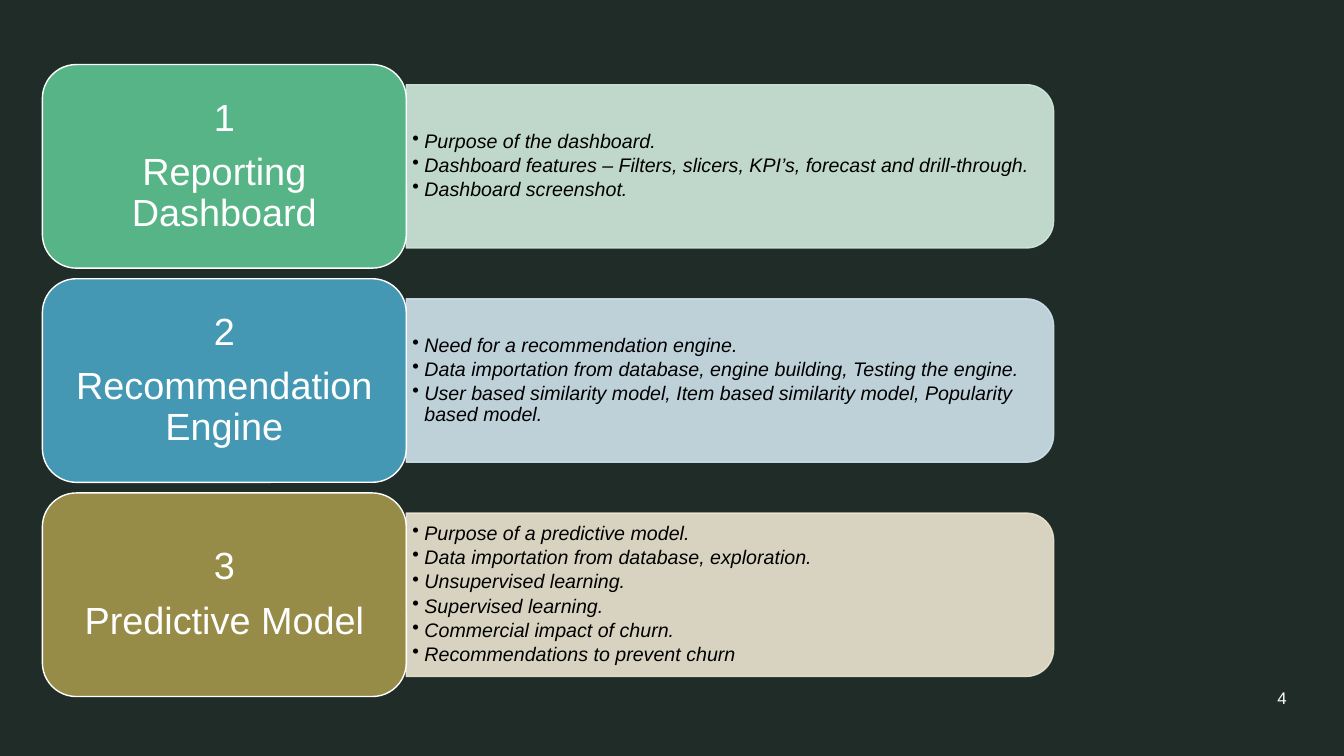
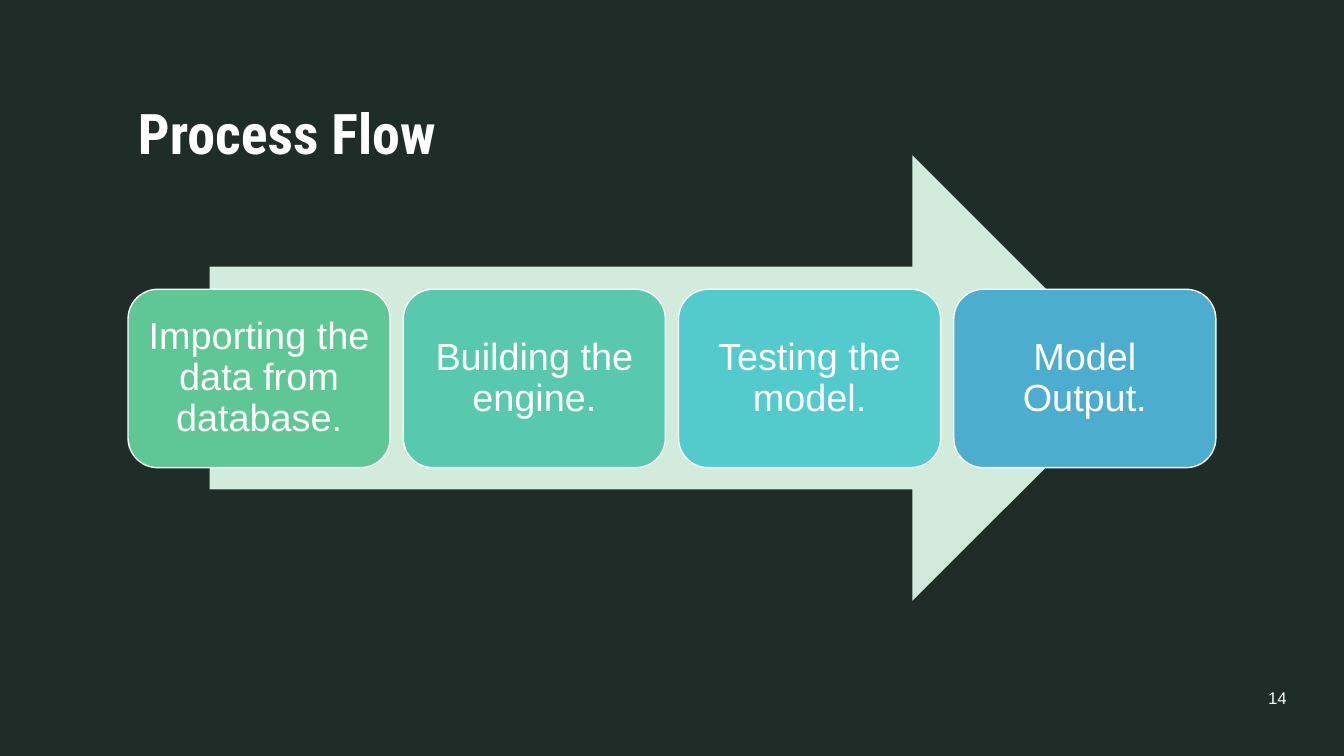
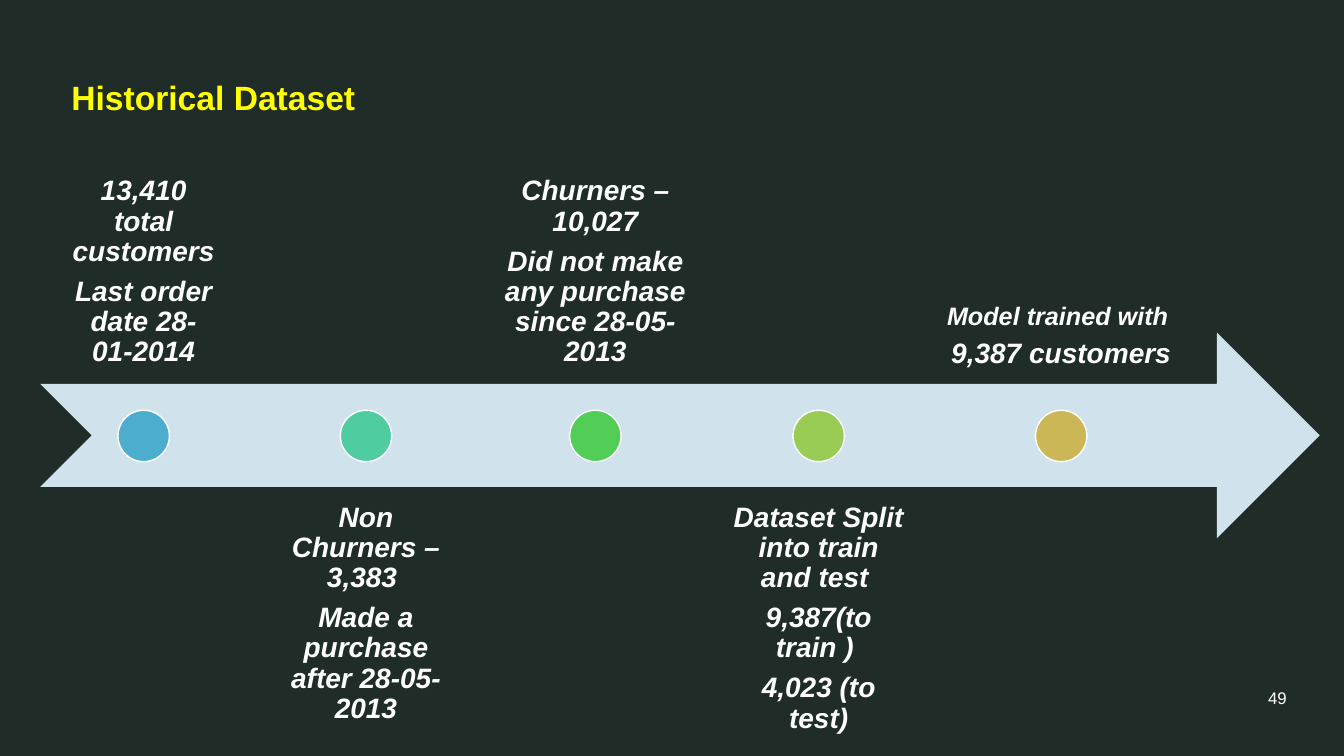
import pptx
import pptx.dml.color
import pptx.enum.shapes
import pptx.enum.text
import pptx.oxml
import pptx.oxml.ns
import pptx.util
from lxml import etree

Inches = pptx.util.Inches
Pt = pptx.util.Pt
Shape = pptx.enum.shapes.MSO_SHAPE
Align = pptx.enum.text.PP_ALIGN
Anchor = pptx.enum.text.MSO_ANCHOR

COLORS = {
    "background": "1F2C28",
    "white": "FFFFFF",
    "black": "000000",
    "yellow": "FFFF00",
    "green": "5EC795",
    "teal": "58C9AF",
    "aqua": "53CACC",
    "blue": "4DADCE",
    "mint": "4FCDA1",
    "grass": "52CD56",
    "lime": "99CC54",
    "gold": "CCB756",
    "pale green": "D2EBDD",
    "pale blue": "D0E3ED",
    "pale gold": "ECE6D1",
}


class Deck:
    def __init__(self):
        self.presentation = pptx.Presentation()
        self.presentation.slide_width = Inches(13.33)
        self.presentation.slide_height = Inches(7.5)
        self.slide = None

    def color(self, name):
        return pptx.dml.color.RGBColor.from_string(COLORS[name])

    def new_slide(self, number):
        self.slide = self.presentation.slides.add_slide(self.presentation.slide_layouts[6])
        background = self.slide.background.fill
        background.solid()
        background.fore_color.rgb = self.color("background")
        self.text((11.94, 6.72, 0.92, 0.4), [number], size=12, align=Align.RIGHT,
                  anchor=Anchor.MIDDLE)

    def shape(self, kind, box, fill, line=None, opacity=100, line_opacity=100, rotation=0):
        shape = self.slide.shapes.add_shape(kind, *map(Inches, box))
        shape.shadow.inherit = False
        shape.rotation = rotation
        shape.fill.solid()
        shape.fill.fore_color.rgb = self.color(fill)
        self.set_opacity(shape.fill, opacity)
        if line:
            shape.line.color.rgb = self.color(line)
            shape.line.width = Pt(1)
            self.set_opacity(shape.line.fill, line_opacity)
        else:
            shape.line.fill.background()
        return shape

    def set_opacity(self, fill, percent):
        if percent < 100:
            color = fill._xPr.find(".//" + pptx.oxml.ns.qn("a:srgbClr"))
            etree.SubElement(color, pptx.oxml.ns.qn("a:alpha"), val=str(percent * 1000))

    def text(self, box, lines, anchor=Anchor.TOP, insets=(0.1, 0.05), **style):
        text_box = self.slide.shapes.add_textbox(*map(Inches, box))
        self.fill_text(text_box, lines, anchor, insets, **style)
        return text_box

    def fill_text(self, shape, lines, anchor, insets, size, align=Align.LEFT, color="white",
                  font="Arial", bold=False, italic=False, spacing=1, after=0, bullet=False):
        """Fill a shape with paragraphs; a line may be a (text, size) pair, after is a share of size."""
        frame = shape.text_frame
        frame.word_wrap = True
        frame.vertical_anchor = anchor
        frame.margin_left = frame.margin_right = Inches(insets[0])
        frame.margin_top = frame.margin_bottom = Inches(insets[1])
        for index, line in enumerate(lines):
            words, points = line if isinstance(line, tuple) else (line, size)
            paragraph = frame.paragraphs[0] if index == 0 else frame.add_paragraph()
            paragraph.text = words
            if bullet:
                properties = paragraph._p.get_or_add_pPr()
                properties.set("marL", str(Inches(0.12)))
                properties.set("indent", str(Inches(-0.12)))
                etree.SubElement(properties, pptx.oxml.ns.qn("a:buChar"), char="•")
            paragraph.alignment = align
            paragraph.line_spacing = spacing
            paragraph.space_after = Pt(round(points * after, 2))
            paragraph.font.name = font
            paragraph.font.size = Pt(points)
            paragraph.font.bold = bold
            paragraph.font.italic = italic
            paragraph.font.color.rgb = self.color(color)

    def title(self, box, words, **style):
        title = self.text(box, [words], bold=True, **style)
        title.text_frame.auto_size = pptx.enum.text.MSO_AUTO_SIZE.SHAPE_TO_FIT_TEXT

    def card(self, box, lines, fill, opacity=100, insets=(0.11, 0.11)):
        card = self.shape(Shape.ROUNDED_RECTANGLE, box, fill, "white", opacity)
        self.fill_text(card, lines, Anchor.MIDDLE, insets, size=27, align=Align.CENTER,
                       spacing=0.9, after=0.35)

    def band(self, left, middle, width, height, lines, fill):
        """Bulleted panel with its right corners rounded: a turned shape under a text box."""
        turned = (left + (width - height) / 2, middle - width / 2, height, width)
        self.shape(Shape.ROUND_2_SAME_RECTANGLE, turned, fill, fill, 90, 90, rotation=90)
        self.text((left, middle - 0.73, width - 0.08, 1.46), lines, Anchor.MIDDLE, (0.06, 0.03),
                  size=14, color="black", italic=True, spacing=0.9, after=0.15, bullet=True)

    def milestone(self, left, width, lines, fill, above):
        """Caption above or below the timeline, with a dot centred on it."""
        inset = 0.14 if isinstance(lines[0], tuple) else 0.16
        self.text((left, 1.77 if above else 4.83, width, 2.04), lines,
                  Anchor.BOTTOM if above else Anchor.TOP, (inset, inset), size=20,
                  align=Align.CENTER, bold=True, italic=True, spacing=0.9, after=0.35)
        dot = 0.51
        self.shape(Shape.OVAL, (left + (width - dot) / 2, 4.07, dot, dot), fill, "white")


def add_agenda(deck):
    deck.new_slide("4")
    topics = [
        ("Reporting Dashboard", "green", 88, "pale green", [
            "Purpose of the dashboard.",
            "Dashboard features – Filters, slicers, KPI’s, forecast and drill-through.",
            "Dashboard screenshot."]),
        ("Recommendation Engine", "blue", 84, "pale blue", [
            "Need for a recommendation engine.",
            "Data importation from database, engine building, Testing the engine.",
            "User based similarity model, Item based similarity model, Popularity based model."]),
        ("Predictive Model", "gold", 69, "pale gold", [
            "Purpose of a predictive model.",
            "Data importation from database, exploration.",
            "Unsupervised learning.",
            "Supervised learning.",
            "Commercial impact of churn.",
            "Recommendations to prevent churn"]),
    ]
    left, width, height = 0.42, 3.61, 2.02
    for index, (name, fill, opacity, pale, points) in enumerate(topics):
        top = 0.64 + index * 2.125
        deck.band(left + width, top + height / 2, 6.42, 1.62, points, pale)
        deck.card((left, top, width, height), [str(index + 1), name], fill, opacity, (0.11, 0.06))


def add_process_flow(deck):
    deck.new_slide("14")
    deck.shape(Shape.RIGHT_ARROW, (2.08, 1.54, 9.18, 4.42), "pale green")
    steps = [
        ("Importing the data from database.", "green"),
        ("Building the engine.", "teal"),
        ("Testing the model.", "aqua"),
        ("Model Output.", "blue"),
    ]
    for index, (words, fill) in enumerate(steps):
        deck.card((1.27 + index * 2.73, 2.87, 2.6, 1.77), [words], fill)
    deck.title((1.27, 0.93, 3.67, 0.77), "Process Flow", size=40, font="Roboto Condensed")


def add_historical_dataset(deck):
    deck.new_slide("49")
    deck.shape(Shape.NOTCHED_RIGHT_ARROW, (0.4, 3.3, 12.69, 2.04), "pale blue")
    milestones = [
        (0.56, 1.73, "blue", ["13,410 total customers", "Last order date 28-01-2014"]),
        (2.55, 2.16, "mint", ["Non Churners – 3,383 ", "Made a purchase after 28-05-2013"]),
        (4.81, 2.19, "grass", ["Churners – 10,027", "Did not make any purchase since 28-05-2013"]),
        (7.1, 2.04, "lime", ["Dataset Split into train and test ", "9,387(to train ) ",
                             "4,023 (to test)"]),
        (9.24, 2.57, "gold", [("Model trained with ", 18), "9,387 customers"]),
    ]
    for index, (left, width, fill, lines) in enumerate(milestones):
        deck.milestone(left, width, lines, fill, above=index % 2 == 0)
    deck.title((0.61, 0.71, 6, 0.5), "Historical Dataset", size=24, color="yellow")


def main():
    deck = Deck()
    add_agenda(deck)
    add_process_flow(deck)
    add_historical_dataset(deck)
    deck.presentation.save("out.pptx")


if __name__ == "__main__":
    main()
